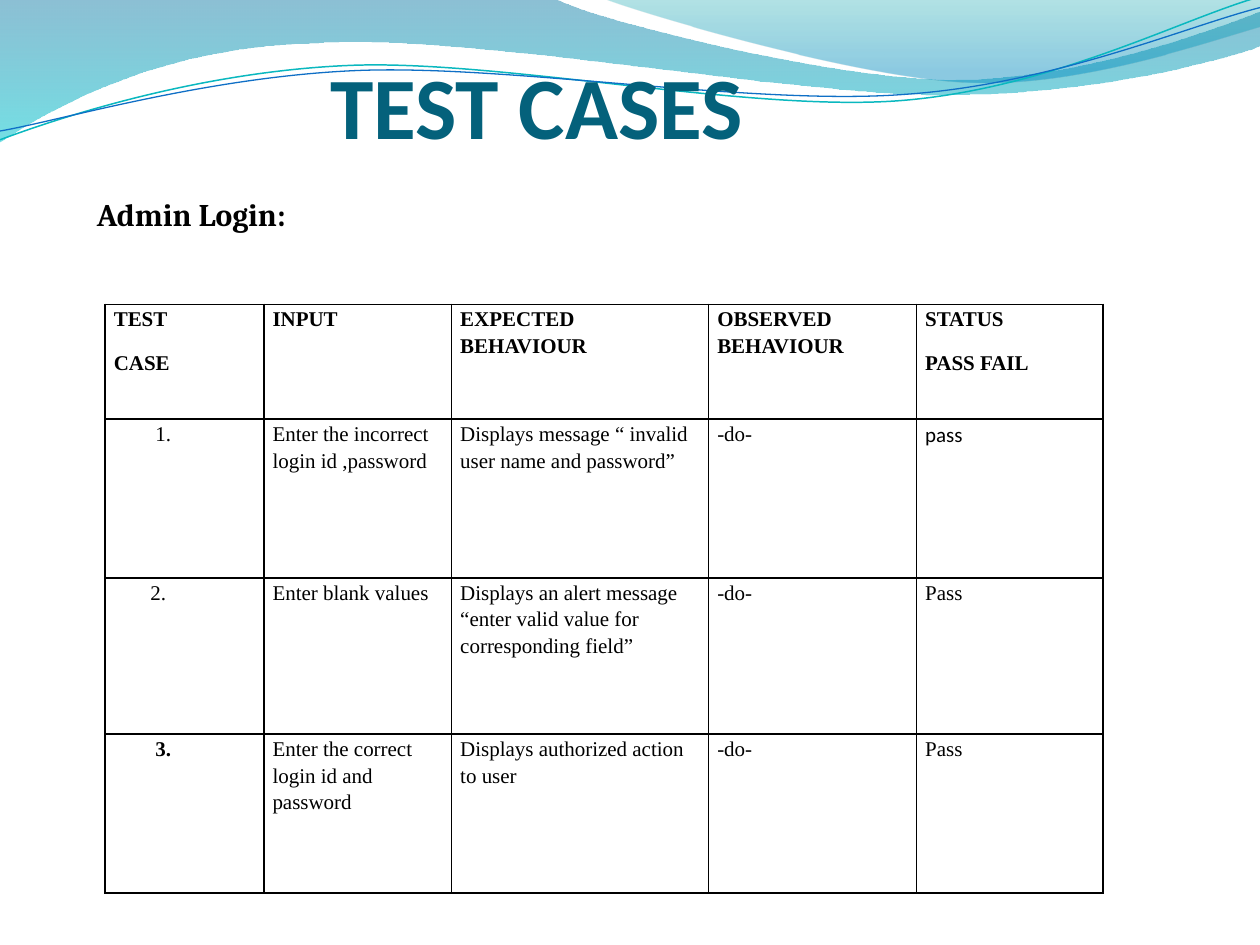
"""Build the admin login test case slide."""
from dataclasses import dataclass
from math import cos, radians, sin

from lxml import etree
from pptx import Presentation
from pptx.dml.color import RGBColor
from pptx.enum.text import MSO_ANCHOR, MSO_AUTO_SIZE, PP_ALIGN
from pptx.oxml.ns import qn
from pptx.util import Inches, Pt

BOTTOM, TOP = MSO_ANCHOR.BOTTOM, MSO_ANCHOR.TOP
LEFT = PP_ALIGN.LEFT
NO_FIT, GROW = MSO_AUTO_SIZE.NONE, MSO_AUTO_SIZE.SHAPE_TO_FIT_TEXT


@dataclass(frozen=True)
class Theme:
    """Colours, fonts and type sizes."""
    title_color: str = "04617B"
    ink: str = "000000"
    title_font: str = "Calibri"
    heading_font: str = "Cambria"
    table_font: str = "Times New Roman"
    title_size: int = 50
    heading_size: int = 18
    table_size: int = 12


@dataclass(frozen=True)
class Stop:
    """Gradient stop with opacity in percent."""
    position: float
    color: str
    opacity: int


@dataclass(frozen=True)
class Wave:
    """Outline whose segments hold one line end or three curve points."""
    box: tuple
    start: tuple
    segments: tuple
    stops: tuple = ()
    line_color: str = ""
    line_width: float = 0
    rotation: float = 0


@dataclass(frozen=True)
class Entry:
    """Table cell content, one string per paragraph."""
    paragraphs: tuple
    bold: bool = False
    font: str = Theme.table_font
    indent: float = 0


THEME = Theme()
WAVES = (
    Wave((-0.01, -0.01, 10.02, 1.14), (0, 0), (
        (4.4, -0.01),
        (4.76, 0.17, 6.64, 0.63, 7.58, 0.63),
        (8.53, 0.63, 9.58, 0.26, 10, 0.09),
        (10.01, 0.36),
        (9.83, 0.44, 8.7, 0.76, 7.46, 0.75),
        (6.22, 0.75, 3.82, 0.28, 2.57, 0.34),
        (1.29, 0.36, 0.46, 0.83, -0.01, 1.13),
        (0, 0),
    ), stops=(Stop(0, "0074A1", 45), Stop(1, "00C6CF", 55))),
    Wave((4.79, -0.01, 5.21, 0.7), (4.79, -0.01), (
        (5.09, 0.11, 6.82, 0.62, 7.69, 0.65),
        (8.56, 0.69, 9.61, 0.32, 10, 0.21),
        (10, 0),
        (4.79, -0.01),
    ), stops=(Stop(0, "00A1A9", 30), Stop(0.8, "008BBF", 45))),
    Wave((-0.02, 0.22, 10.02, 0.71), (0, 1.11), (
        (0.48, 0.93, 1.58, 0.57, 2.77, 0.52),
        (3.95, 0.47, 5.93, 0.89, 7.13, 0.8),
        (8.33, 0.71, 9.38, 0.15, 9.98, -0.02),
    ), line_color="0AB8BF", line_width=0.85, rotation=357.3),
    Wave((-0.02, 0.3, 10.03, 0.58), (0, 1.04), (
        (0.47, 0.96, 1.64, 0.61, 2.83, 0.56),
        (4.03, 0.51, 5.97, 0.84, 7.17, 0.75),
        (8.36, 0.67, 9.41, 0.21, 10, 0.06),
    ), line_color="0F6FC6", line_width=0.75, rotation=357.3),
)
HEADERS = (("TEST", "CASE"), ("INPUT",), ("EXPECTED BEHAVIOUR",),
           ("OBSERVED BEHAVIOUR",), ("STATUS", "PASS FAIL"))
CASES = (
    (Entry(("1.",), indent=0.33), "Enter the incorrect login id ,password",
     "Displays message “ invalid user name and password”",
     Entry(("pass",), font=THEME.title_font)),
    (Entry(("2.",), indent=0.29), "Enter blank values",
     "Displays an alert message “enter valid value for corresponding field”",
     Entry(("Pass",))),
    (Entry(("3.",), bold=True, indent=0.33), "Enter the correct login id and password",
     "Displays authorized action to user", Entry(("Pass",))),
)
COLUMN_WIDTHS = (1.26, 1.49, 2.04, 1.65, 1.48)
ROW_HEIGHTS = (0.91, 1.26, 1.24, 1.26)


def apply_format(target, values: dict) -> None:
    for attribute, value in values.items():
        setattr(target, attribute, value)


def write(paragraph, text: str, font: str, size: float, color: str,
          bold: bool, indent: float = 0) -> None:
    paragraph.alignment = LEFT
    if indent:
        properties = paragraph._p.get_or_add_pPr()
        properties.set("marL", str(Inches(indent)))
        properties.set("indent", "0")
    run = paragraph.add_run()
    run.text = text
    apply_format(run.font, {"name": font, "size": Pt(size), "bold": bold})
    run.font.color.rgb = RGBColor.from_string(color)


def local_point(wave: Wave, x: float, y: float) -> dict:
    left, top, width, height = wave.box
    dx, dy = x - left - width / 2, y - top - height / 2
    angle = radians(-wave.rotation)
    return {"x": str(Inches(width / 2 + dx * cos(angle) - dy * sin(angle))),
            "y": str(Inches(height / 2 + dx * sin(angle) + dy * cos(angle)))}


def trace_curves(shape, wave: Wave) -> None:
    outline = next(shape._element.iter(qn("a:path")))
    outline.set("w", str(Inches(wave.box[2])))
    outline.set("h", str(Inches(wave.box[3])))
    for command, segment in zip(list(outline)[1:], wave.segments):
        if len(segment) == 6:
            curve = etree.Element(qn("a:cubicBezTo"))
            outline.replace(command, curve)
            command = curve
        for child in list(command):
            command.remove(child)
        for x, y in zip(segment[::2], segment[1::2]):
            etree.SubElement(command, qn("a:pt"), local_point(wave, x, y))
    outline[0][0].attrib.update(local_point(wave, *wave.start))


def draw_wave(shapes, wave: Wave) -> None:
    builder = shapes.build_freeform(*map(Inches, wave.start))
    ends = [tuple(map(Inches, segment[-2:])) for segment in wave.segments]
    builder.add_line_segments(ends, close=bool(wave.stops))
    shape = builder.convert_to_shape()
    trace_curves(shape, wave)
    apply_format(shape, dict(zip(("left", "top", "width", "height"), map(Inches, wave.box))))
    shape.rotation = wave.rotation
    shape.shadow.inherit = False
    if not wave.stops:
        shape.fill.background()
        shape.line.color.rgb = RGBColor.from_string(wave.line_color)
        shape.line.width = Pt(wave.line_width)
        return
    shape.line.fill.background()
    shape.fill.gradient()
    shape.fill.gradient_angle = 270
    for gradient_stop, stop in zip(shape.fill.gradient_stops, wave.stops):
        gradient_stop.position = stop.position
        gradient_stop.color.rgb = RGBColor.from_string(stop.color)
    for color, stop in zip(shape._element.spPr.iter(qn("a:srgbClr")), wave.stops):
        etree.SubElement(color, qn("a:alpha"), val=str(stop.opacity * 1000))


def border_cell(cell) -> None:
    properties = cell._tc.get_or_add_tcPr()
    for side in ("lnL", "lnR", "lnT", "lnB"):
        line = etree.SubElement(properties, qn(f"a:{side}"), w=str(Pt(1)))
        solid = etree.SubElement(line, qn("a:solidFill"))
        etree.SubElement(solid, qn("a:srgbClr"), val=THEME.ink)


def fill_cell(cell, entry: Entry) -> None:
    border_cell(cell)
    cell.fill.background()
    apply_format(cell, {"margin_left": Inches(0.07), "margin_right": Inches(0.07),
                        "margin_top": 0, "margin_bottom": 0, "vertical_anchor": TOP})
    frame = cell.text_frame
    for index, text in enumerate(entry.paragraphs):
        paragraph = frame.add_paragraph() if index else frame.paragraphs[0]
        apply_format(paragraph, {"line_spacing": 1.15, "space_after": Pt(10)})
        write(paragraph, text, entry.font, THEME.table_size, THEME.ink,
              entry.bold, entry.indent)


def draw_table(shapes) -> None:
    rows = [[Entry(header, bold=True) for header in HEADERS]]
    for number, action, expected, status in CASES:
        rows.append([number, Entry((action,)), Entry((expected,)), Entry(("-do-",)), status])
    table = shapes.add_table(len(rows), len(HEADERS), Inches(5 / 6), Inches(29 / 12),
                             Inches(sum(COLUMN_WIDTHS)), Inches(sum(ROW_HEIGHTS))).table
    apply_format(table, {"first_row": False, "horz_banding": False})
    for column, width in zip(table.columns, COLUMN_WIDTHS):
        column.width = Inches(width)
    for row, height, entries in zip(table.rows, ROW_HEIGHTS, rows):
        row.height = Inches(height)
        for cell, entry in zip(row.cells, entries):
            fill_cell(cell, entry)


def main() -> None:
    presentation = Presentation()
    apply_format(presentation, {"slide_width": Inches(10), "slide_height": Inches(7.5)})
    shapes = presentation.slides.add_slide(presentation.slide_layouts[5]).shapes
    for wave in WAVES:
        draw_wave(shapes, wave)
    title = shapes.title
    shapes._spTree.append(title._element)
    apply_format(title, {"left": Inches(0.58), "top": 0,
                         "width": Inches(9), "height": Inches(1.25)})
    apply_format(title.text_frame, {
        "margin_left": 0, "margin_right": 0, "margin_top": Inches(0.05),
        "margin_bottom": 0, "vertical_anchor": BOTTOM, "auto_size": NO_FIT})
    write(title.text_frame.paragraphs[0], "TEST CASES", THEME.title_font,
          THEME.title_size, THEME.title_color, True, indent=2.04)
    draw_table(shapes)
    heading = shapes.add_textbox(Inches(0.67), Inches(1.5), Inches(3.67), Inches(0.4))
    apply_format(heading.text_frame, {"word_wrap": True, "auto_size": GROW})
    write(heading.text_frame.paragraphs[0], "Admin Login:", THEME.heading_font,
          THEME.heading_size, THEME.ink, True)
    presentation.save("out.pptx")


if __name__ == "__main__":
    main()
